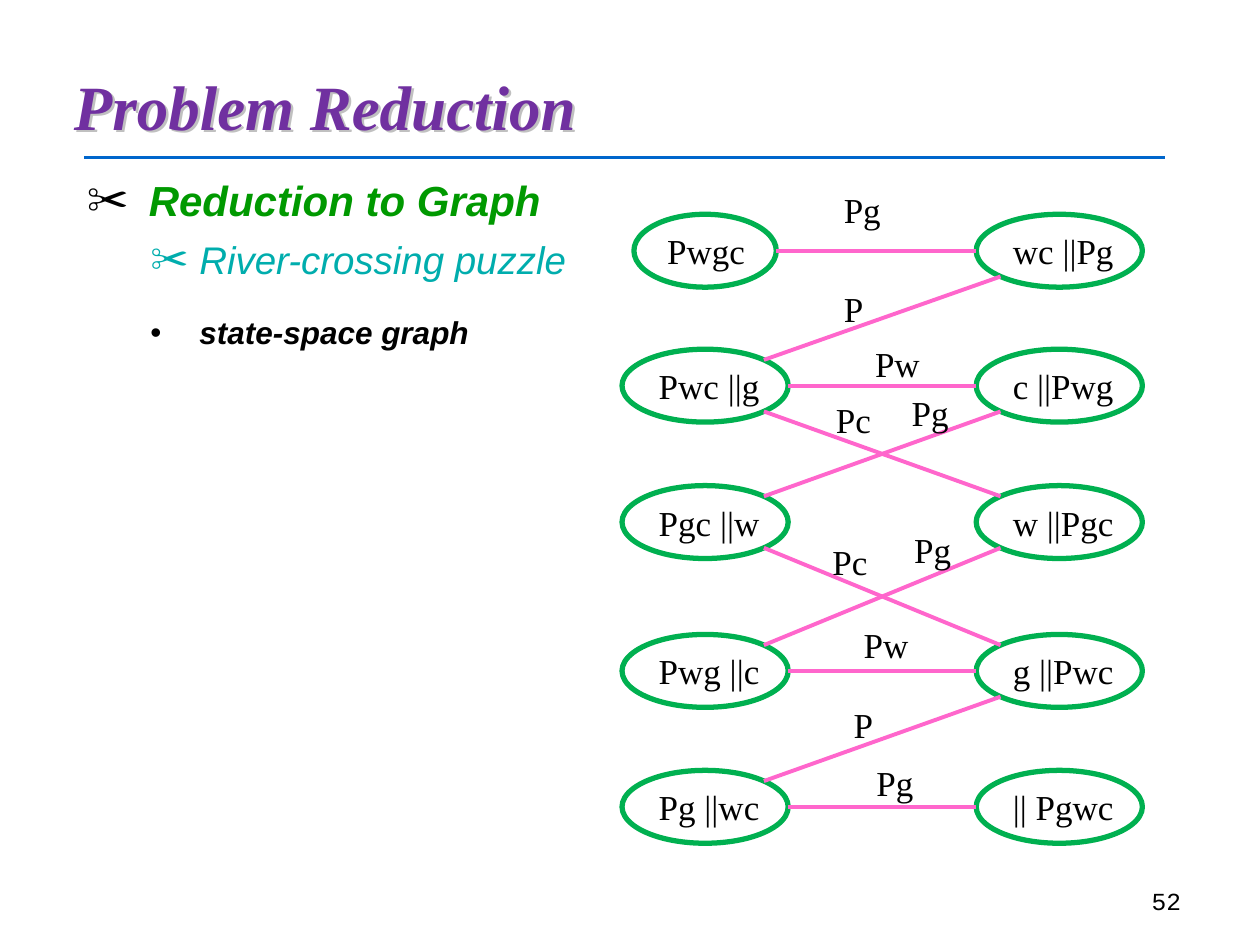
import math

import lxml.etree
import pptx
import pptx.dml.color
import pptx.enum.shapes
import pptx.enum.text
import pptx.oxml.ns
import pptx.util

Cm, Pt = pptx.util.Cm, pptx.util.Pt
RGBColor = pptx.dml.color.RGBColor
ALIGN = pptx.enum.text.PP_ALIGN
ANCHOR = pptx.enum.text.MSO_ANCHOR
FIT = pptx.enum.text.MSO_AUTO_SIZE.SHAPE_TO_FIT_TEXT

BLACK = RGBColor(0x00, 0x00, 0x00)
WHITE = RGBColor(0xFF, 0xFF, 0xFF)
PURPLE = RGBColor(0x70, 0x30, 0xA0)
SHADOW_GREY = RGBColor(0xC0, 0xC0, 0xC0)
RULE_BLUE = RGBColor(0x00, 0x66, 0xCC)
HEADING_GREEN = RGBColor(0x00, 0x99, 0x00)
TEAL = RGBColor(0x00, 0xAD, 0xAD)
NODE_GREEN = RGBColor(0x00, 0xB0, 0x50)
EDGE_PINK = RGBColor(0xFF, 0x66, 0xCC)

SERIF = {"name": "Times New Roman", "size": Pt(20)}
TITLE = {"name": "Times New Roman", "size": Pt(36), "bold": True, "italic": True}
NUMBER = {"name": "Courier New", "size": Pt(14)}

# text, font, colour, bullet, bullet colour, indent, hang, paragraph spacing
OUTLINE = [
    ("Reduction to Graph",
     {"name": "Arial", "size": Pt(24), "bold": True, "italic": True},
     HEADING_GREEN, "✂", BLACK, 1.48, 1.25, {}),
    ("River-crossing puzzle",
     {"name": "Arial", "size": Pt(22), "bold": False, "italic": True},
     TEAL, "✂", TEAL, 2.5, 0.99,
     {"space_before": Pt(6), "space_after": Pt(6)}),
    ("state-space graph",
     {"name": "Arial", "size": Pt(18), "bold": True, "italic": True},
     BLACK, "•", BLACK, 2.5, 0.99,
     {"space_before": Pt(12), "space_after": Pt(6)}),
]

# State graph: one left and one right state per row
NODE_WIDTH, NODE_HEIGHT = 3.35, 1.47
START_WIDTH = 2.87
ROW_TOPS = [0, 2.72, 5.47, 8.47, 11.21]
LEFT_STATES = ["Pwgc", "Pwc ||g", "Pgc ||w", "Pwg ||c", "Pg ||wc"]
RIGHT_STATES = ["wc ||Pg", "c ||Pwg", "w ||Pgc", "g ||Pwc", "|| Pgwc"]
LABEL_WIDTHS = {"P": 0.9, "Pg": 1.26, "Pw": 1.42, "Pc": 1.23}
LABEL_HEIGHT = 1.12

# left row, right row, label, label left, label top
MOVES = [
    (0, 0, "Pg", 4.22, -0.64),
    (1, 0, "P", 4.22, 1.35),
    (1, 1, "Pw", 4.85, 2.46),
    (1, 2, "Pc", 4.06, 3.58),
    (2, 1, "Pg", 5.59, 3.45),
    (2, 3, "Pc", 3.99, 6.45),
    (3, 2, "Pg", 5.64, 6.2),
    (3, 3, "Pw", 4.62, 8.13),
    (4, 3, "P", 4.42, 9.73),
    (4, 4, "Pg", 4.88, 10.9),
]


def set_values(target, values):
    for name, value in values.items():
        setattr(target, name, value)


def add_child(parent, tag, **attributes):
    return lxml.etree.SubElement(parent, pptx.oxml.ns.qn(tag), attributes)


def write(para, text, font, color):
    span = para.add_run()
    span.text = text
    set_values(span.font, font)
    span.font.color.rgb = color


def add_text_box(page, left, top, width, height):
    box = page.shapes.add_textbox(Cm(left), Cm(top), Cm(width), Cm(height))
    box.text_frame.word_wrap = True
    return box


def add_line(page, start, end, color, width):
    line = page.shapes.add_connector(
        pptx.enum.shapes.MSO_CONNECTOR.STRAIGHT,
        Cm(start[0]), Cm(start[1]), Cm(end[0]), Cm(end[1]))
    line.line.color.rgb = color
    line.line.width = Pt(width)
    add_child(line._element.spPr, "a:effectLst")


def add_title(page, left, top, width, height):
    box = add_text_box(page, left, top, width, height)
    box.text_frame.vertical_anchor = ANCHOR.MIDDLE
    write(box.text_frame.paragraphs[0], "Problem Reduction", TITLE, PURPLE)
    # Grey shadow; the box has no fill, so it falls behind the letters
    effects = add_child(box._element.spPr, "a:effectLst")
    shadow = add_child(effects, "a:outerShdw", dist=str(Pt(2)), dir="2700000")
    add_child(shadow, "a:srgbClr", val=str(SHADOW_GREY))
    # Rule under the title
    rule_y = top + height + 0.2
    add_line(page, (left + 0.46, rule_y), (left + 22.25, rule_y), RULE_BLUE, 1.75)


def add_outline(page, left, top, width, height):
    frame = add_text_box(page, left, top, width, height).text_frame
    for index, (text, font, color, mark, mark_color, indent, hang, gaps) in enumerate(OUTLINE):
        para = frame.add_paragraph() if index else frame.paragraphs[0]
        set_values(para, gaps)
        settings = para._p.get_or_add_pPr()
        settings.set("marL", str(Cm(indent)))
        settings.set("indent", str(-Cm(hang)))
        bullet_color = add_child(settings, "a:buClr")
        add_child(bullet_color, "a:srgbClr", val=str(mark_color))
        add_child(settings, "a:buFont", typeface="Arial")
        add_child(settings, "a:buChar", char=mark)
        write(para, text, font, color)


def add_state(page, text, left, top, width):
    node = page.shapes.add_shape(
        pptx.enum.shapes.MSO_SHAPE.OVAL, Cm(left), Cm(top), Cm(width), Cm(NODE_HEIGHT))
    node.shadow.inherit = False
    node.fill.solid()
    node.fill.fore_color.rgb = WHITE
    node.line.color.rgb = NODE_GREEN
    node.line.width = Pt(3)
    set_values(node.text_frame, {"word_wrap": False, "vertical_anchor": ANCHOR.MIDDLE})
    para = node.text_frame.paragraphs[0]
    para.alignment = ALIGN.LEFT
    write(para, text, SERIF, BLACK)
    return left + width / 2, top + NODE_HEIGHT / 2, width


def rim_point(node, side, slope):
    """Point on a node's rim: side is -1 left or 1 right, slope -1 up, 0 level, 1 down."""
    center_x, center_y, width = node
    angle = slope * math.pi / 4
    return (center_x + side * width / 2 * math.cos(angle),
            center_y + NODE_HEIGHT / 2 * math.sin(angle))


def add_state_graph(page, left, top, width):
    # States
    left_nodes, right_nodes = [], []
    for row, offset in enumerate(ROW_TOPS):
        node_width = NODE_WIDTH if row else START_WIDTH
        inset = (NODE_WIDTH - node_width) / 2
        left_nodes.append(
            add_state(page, LEFT_STATES[row], left + inset, top + offset, node_width))
        right_nodes.append(
            add_state(page, RIGHT_STATES[row], left + width - NODE_WIDTH, top + offset, NODE_WIDTH))
    # Moves between states
    for start, end, *_ in MOVES:
        slope = (end > start) - (end < start)
        add_line(page, rim_point(left_nodes[start], 1, slope),
                 rim_point(right_nodes[end], -1, -slope), EDGE_PINK, 2.25)
    # Move labels
    for _, _, label, x, y in MOVES:
        frame = add_text_box(page, left + x, top + y, LABEL_WIDTHS[label], LABEL_HEIGHT).text_frame
        set_values(frame, {"word_wrap": False, "auto_size": FIT})
        write(frame.paragraphs[0], label, SERIF, BLACK)


def add_page_number(page, left, top, width, height):
    para = add_text_box(page, left, top, width, height).text_frame.paragraphs[0]
    para.alignment = ALIGN.RIGHT
    write(para, "52", NUMBER, BLACK)


def main():
    deck = pptx.Presentation()
    deck.slide_width, deck.slide_height = Cm(25.4), Cm(19.05)
    page = deck.slides.add_slide(deck.slide_layouts[6])
    add_title(page, 1.24, 1.27, 23.11, 1.7)
    add_outline(page, 1.27, 3.4, 22.56, 3.89)
    add_state_graph(page, 12.54, 4.32, 10.49)
    add_page_number(page, 18.14, 17.73, 5.92, 1.32)
    deck.save("out.pptx")


if __name__ == "__main__":
    main()
